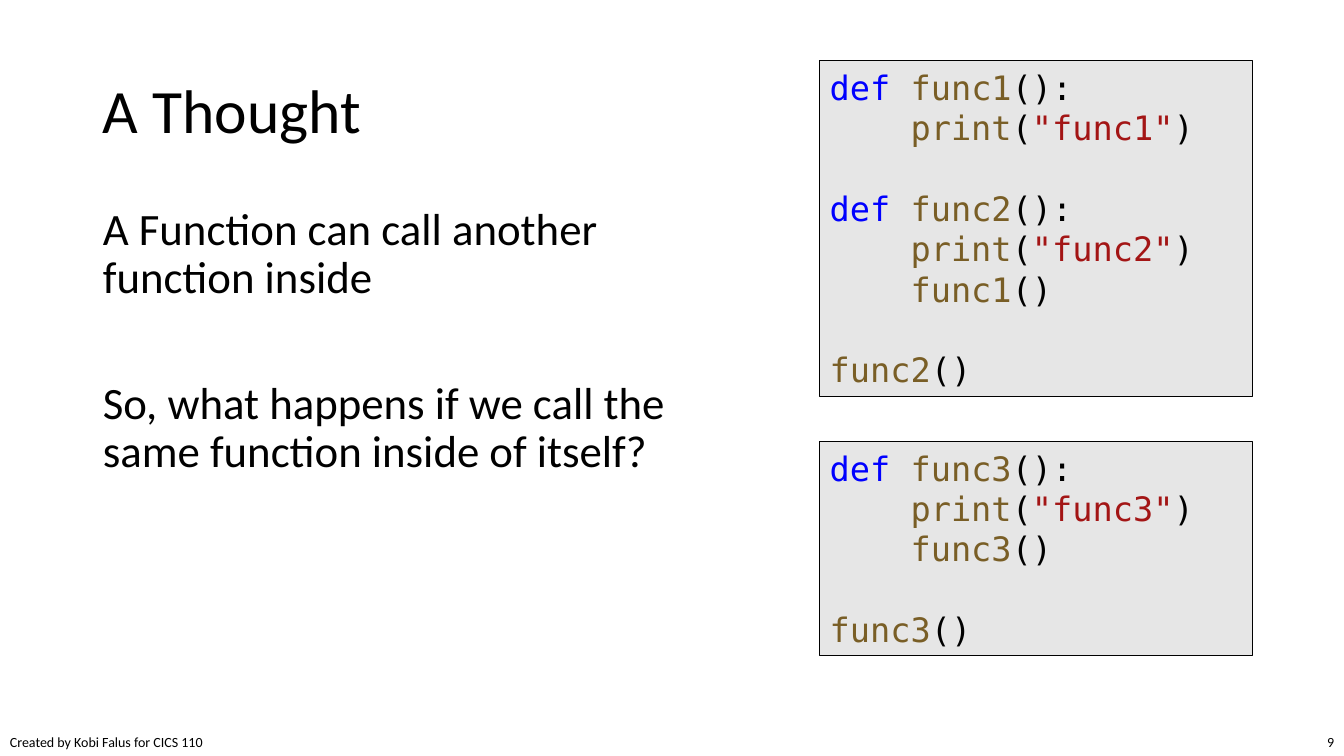
from dataclasses import dataclass

from lxml import etree
from pptx import Presentation
from pptx.dml.color import RGBColor
from pptx.enum.shapes import MSO_SHAPE
from pptx.enum.text import MSO_ANCHOR, MSO_AUTO_SIZE, PP_ALIGN
from pptx.oxml.ns import qn
from pptx.util import Inches, Pt

LEFT, RIGHT = PP_ALIGN.LEFT, PP_ALIGN.RIGHT
TOP, MIDDLE = MSO_ANCHOR.TOP, MSO_ANCHOR.MIDDLE
RECTANGLE = MSO_SHAPE.RECTANGLE
NO_AUTOFIT = MSO_AUTO_SIZE.NONE

TEXT_FONT, CODE_FONT = "Calibri", "DejaVu Sans Mono"
BLACK, PANEL_GREY = "000000", "E6E6E6"
KEYWORD, FUNCTION, STRING = "0000FF", "795E26", "A31515"
CODE_SIZE = 24
CODE_LINE_HEIGHT = 28.8
CODE_INDENT = " " * 4


@dataclass(frozen=True)
class Span:
    text: str
    color: str = BLACK


@dataclass(frozen=True)
class Line:
    spans: tuple[Span, ...]
    space_before: float = 0


@dataclass(frozen=True)
class CodePanel:
    top: float
    height: float
    lines: tuple[Line, ...]


def define(name: str, space_before: float = 0) -> Line:
    return Line((Span("def ", KEYWORD), Span(name, FUNCTION), Span("():")), space_before)


def print_name(name: str) -> Line:
    return Line((Span(CODE_INDENT + "print", FUNCTION), Span("("),
                 Span(f'"{name}"', STRING), Span(")")))


def call(name: str, indent: str = "", space_before: float = 0) -> Line:
    return Line((Span(indent + name, FUNCTION), Span("()")), space_before)


def plain(text: str, space_before: float = 0) -> Line:
    return Line((Span(text),), space_before)


CODE_PANELS = (
    CodePanel(0.6, 3.33, (
        define("func1"),
        print_name("func1"),
        define("func2", CODE_LINE_HEIGHT),
        print_name("func2"),
        call("func1", CODE_INDENT),
        call("func2", space_before=CODE_LINE_HEIGHT),
    )),
    CodePanel(4.38, 2.12, (
        define("func3"),
        print_name("func3"),
        call("func3", CODE_INDENT),
        call("func3", space_before=CODE_LINE_HEIGHT),
    )),
)


def rgb(value: str) -> RGBColor:
    return RGBColor.from_string(value)


def place(shape, left: float, top: float, width: float, height: float) -> None:
    shape.left, shape.top = Inches(left), Inches(top)
    shape.width, shape.height = Inches(width), Inches(height)


def write(shape, lines: tuple[Line, ...], *, size: float, font: str = TEXT_FONT,
          align=LEFT, anchor=TOP, line_spacing: float = 1.0, wrap: bool = True) -> None:
    frame = shape.text_frame
    frame.auto_size = NO_AUTOFIT
    frame.word_wrap = wrap
    frame.vertical_anchor = anchor
    for index, line in enumerate(lines):
        para = frame.paragraphs[0] if index == 0 else frame.add_paragraph()
        para.alignment = align
        para.line_spacing = line_spacing
        para.space_before = Pt(line.space_before)
        for span in line.spans:
            run = para.add_run()
            run.text = span.text
            run.font.name = font
            run.font.size = Pt(size)
            run.font.color.rgb = rgb(span.color)


def remove_bullets(shape) -> None:
    for para in shape.text_frame.paragraphs:
        properties = para._p.get_or_add_pPr()
        properties.set("marL", "0")
        properties.set("indent", "0")
        etree.SubElement(properties, qn("a:buNone"))


def add_footer(page, text: str, left: float, width: float, align=LEFT,
               wrap: bool = True) -> None:
    box = page.shapes.add_textbox(Inches(left), Inches(7.23), Inches(width), Inches(0.27))
    write(box, (plain(text),), size=10, align=align, wrap=wrap)


def add_code_panel(page, panel: CodePanel) -> None:
    box = page.shapes.add_shape(RECTANGLE, Inches(8.13), Inches(panel.top),
                                Inches(4.29), Inches(panel.height))
    box.shadow.inherit = False
    box.fill.solid()
    box.fill.fore_color.rgb = rgb(PANEL_GREY)
    box.line.color.rgb = rgb(BLACK)
    box.line.width = Pt(0.75)
    write(box, panel.lines, size=CODE_SIZE, font=CODE_FONT, anchor=MIDDLE)


def main() -> None:
    deck = Presentation()
    deck.slide_width, deck.slide_height = Inches(13.33), Inches(7.5)
    page = deck.slides.add_slide(deck.slide_layouts.get_by_name("Title and Content"))

    title = page.shapes.title
    place(title, 0.92, 0.4, 11.5, 1.45)
    write(title, (plain("A Thought"),), size=44, anchor=MIDDLE, line_spacing=0.9)

    body = page.placeholders[1]
    place(body, 0.92, 2, 6.04, 4.76)
    write(body, (
        plain("A Function can call another function inside"),
        plain("So, what happens if we call the same function inside of itself?", 55),
    ), size=32, line_spacing=0.9)
    remove_bullets(body)

    for panel in CODE_PANELS:
        add_code_panel(page, panel)

    add_footer(page, "Created by Kobi Falus for CICS 110", 0, 2.15, wrap=False)
    add_footer(page, "9", 12.78, 0.55, align=RIGHT)
    deck.save("out.pptx")


if __name__ == "__main__":
    main()
